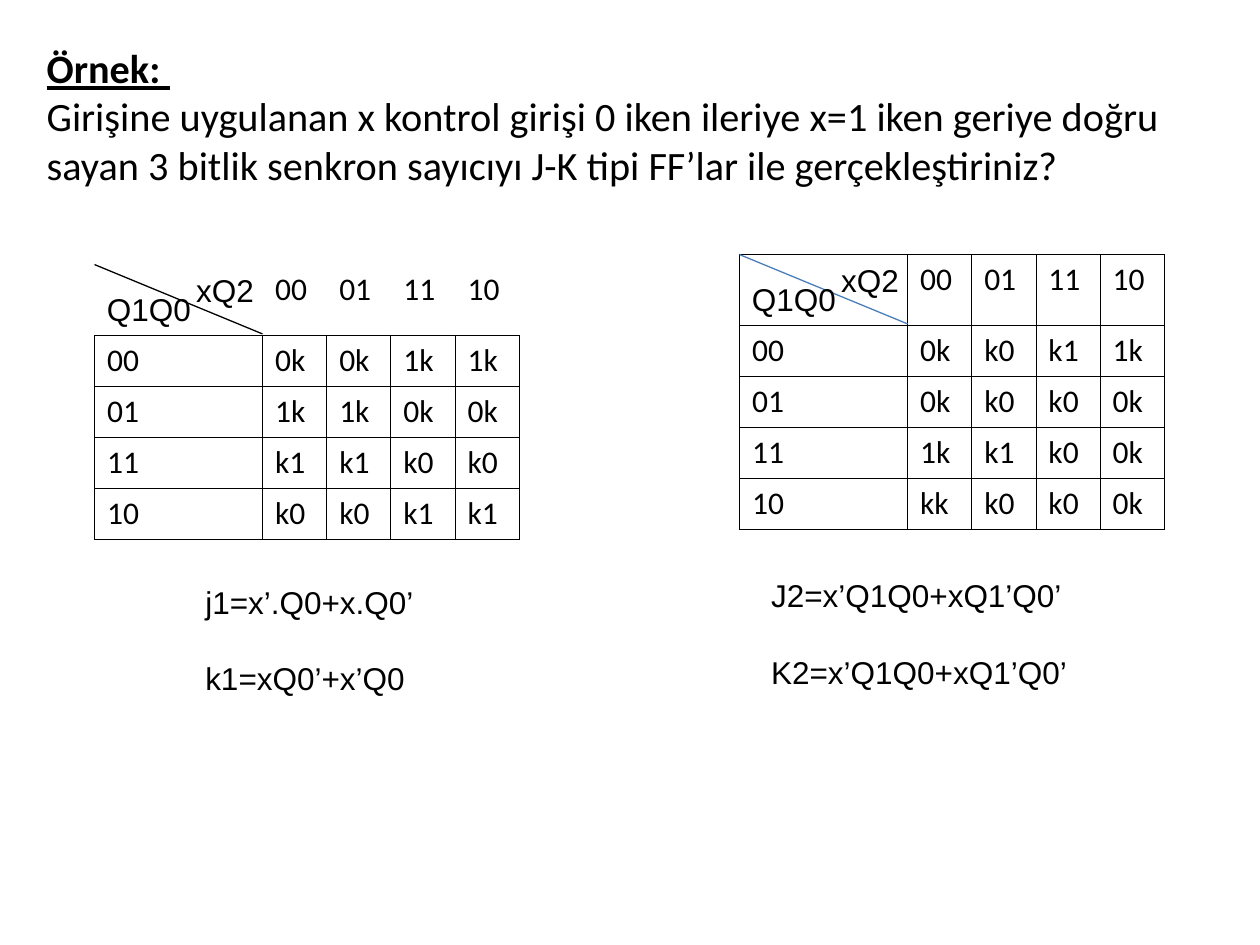
from pptx import Presentation
from pptx.util import Pt
from pptx.dml.color import RGBColor as RGB
from pptx.enum.shapes import MSO_CONNECTOR as CONN
from pptx.enum.text import MSO_ANCHOR as ANCHOR, MSO_AUTO_SIZE as FIT
from pptx.oxml.ns import qn
from lxml.etree import SubElement as Sub

COLORS = {"ink": "000000", "blue": "4A7EBB"}
TITLE = [[("Örnek: \v", True),
          ("Girişine uygulanan x kontrol girişi 0 iken ileriye x=1 iken geriye doğru "
           "sayan 3 bitlik senkron sayıcıyı J-K tipi FF’lar ile gerçekleştiriniz?", False)]]
GRAY_CODE = ["00", "01", "11", "10"]
MAPS = [
    {"left": 54, "top": 151.2, "diagonal": "ink", "boxed_header": False,
     "values": ["0k 0k 1k 1k", "1k 1k 0k 0k", "k1 k1 k0 k0", "k0 k0 k1 k1"],
     "equations": ["j1=x’.Q0+x.Q0’", "k1=xQ0’+x’Q0"],
     "equation_box": (110.2, 329.4, 147.6, 71.5)},
    {"left": 422.6, "top": 145.5, "diagonal": "blue", "boxed_header": True,
     "values": ["0k k0 k1 1k", "0k k0 k0 0k", "1k k1 k0 0k", "kk k0 k0 0k"],
     "equations": ["J2=x’Q1Q0+xQ1’Q0’", "K2=x’Q1Q0+xQ1’Q0’"],
     "equation_box": (433.6, 325.8, 198.7, 71.5)},
]
AXIS_LABELS = [("xQ2", 51, 0, 48), ("Q1Q0", 0, 11.2, 63)]
COL_WIDTHS = [96] + [36.7] * 4
ROW_HEIGHTS = [40.4] + [29.2] * 4


def write(tf, paragraphs, size=18, font="Arial", gap=0):
    for i, runs in enumerate(paragraphs):
        p = tf.paragraphs[0] if i == 0 else tf.add_paragraph()
        if i:
            p.space_before = Pt(gap)
        for text, strong in [(runs, False)] if isinstance(runs, str) else runs:
            for j, part in enumerate(text.split("\v")):
                if j:
                    p.add_line_break()
                if part:
                    r = p.add_run()
                    r.text = part
                    r.font.name, r.font.size = font, Pt(size)
                    r.font.bold = r.font.underline = strong
                    r.font.color.rgb = RGB.from_string(COLORS["ink"])


def add_text(box, paragraphs, wrap=True, anchor=ANCHOR.TOP, **fmt):
    tf = s.shapes.add_textbox(*map(Pt, box)).text_frame
    tf.word_wrap, tf.vertical_anchor = wrap, anchor
    tf.auto_size = FIT.NONE if wrap else FIT.SHAPE_TO_FIT_TEXT
    write(tf, paragraphs, **fmt)


def set_borders(cell, sides):
    tc_pr = cell._tc.get_or_add_tcPr()
    for side in "LRTB":
        ln = Sub(tc_pr, qn(f"a:ln{side}"), w=str(Pt(0.45)))
        if side in sides:
            fill = Sub(ln, qn("a:solidFill"))
            Sub(fill, qn("a:srgbClr"), val=COLORS["ink"])
        else:
            Sub(ln, qn("a:noFill"))


def add_map(left, top, diagonal, boxed_header, values, equations, equation_box):
    rows = [[""] + GRAY_CODE]
    rows += [[code] + line.split() for code, line in zip(GRAY_CODE, values)]
    table = s.shapes.add_table(len(rows), len(COL_WIDTHS), Pt(left), Pt(top),
                               Pt(sum(COL_WIDTHS)), Pt(sum(ROW_HEIGHTS))).table
    table.first_row = table.horz_banding = False
    for col, width in zip(table.columns, COL_WIDTHS):
        col.width = Pt(width)
    for i, (row, height) in enumerate(zip(rows, ROW_HEIGHTS)):
        table.rows[i].height = Pt(height)
        for j, text in enumerate(row):
            cell = table.cell(i, j)
            set_borders(cell, "LRTB" if i or boxed_header else "B")
            cell.fill.background()
            if text:
                write(cell.text_frame, [text], font="Calibri")

    line = s.shapes.add_connector(CONN.STRAIGHT, Pt(left + COL_WIDTHS[0]),
                                  Pt(top + ROW_HEIGHTS[0] - 0.8), Pt(left), Pt(top))
    line.line.color.rgb = RGB.from_string(COLORS[diagonal])
    line.line.width = Pt(0.75)
    Sub(line._element.spPr, qn("a:effectLst"))
    for label, dx, dy, width in AXIS_LABELS:
        add_text((left + dx, top + dy, width, 28.8), [label], wrap=False)
    add_text(equation_box, equations, gap=22)


prs = Presentation()
prs.slide_width, prs.slide_height = Pt(720), Pt(540)
s = prs.slides.add_slide(prs.slide_layouts[6])
for karnaugh_map in MAPS:
    add_map(**karnaugh_map)
add_text((19.6, 15.1, 680.4, 102.2), TITLE, anchor=ANCHOR.MIDDLE, size=23, font="Calibri")
prs.save("out.pptx")
